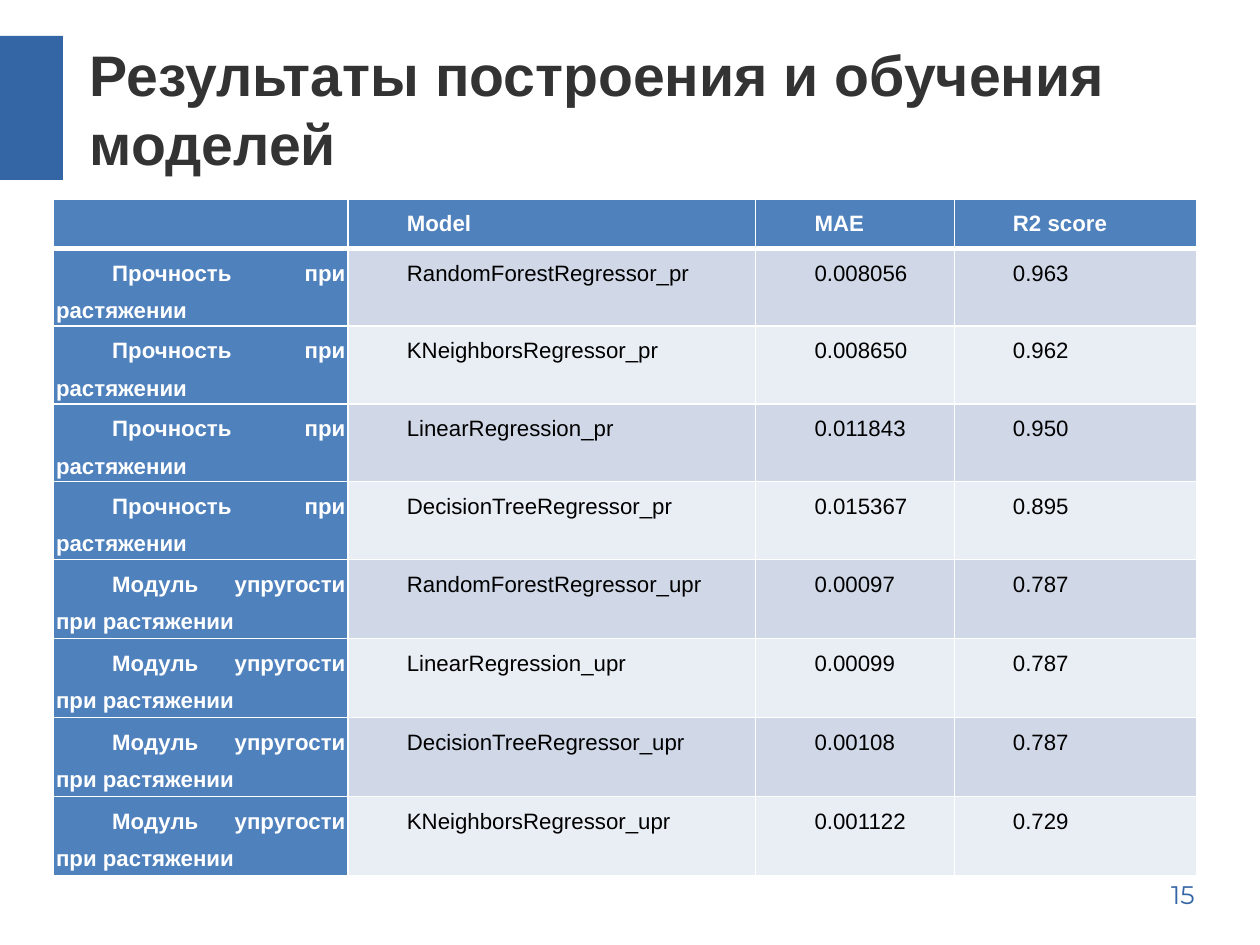
"""Build a slide with a table of regression model results."""
from lxml.etree import SubElement
from pptx import Presentation
from pptx.dml.color import RGBColor
from pptx.enum.shapes import MSO_SHAPE as Shape
from pptx.enum.text import MSO_ANCHOR as Anchor, MSO_AUTO_SIZE as AutoSize, PP_ALIGN as Align
from pptx.oxml.ns import qn
from pptx.util import Pt

TITLE = "Результаты построения и обучения моделей"
PAGE_NUMBER = "15"
HEADER = ("", "Model", "MAE", "R2 score")
RESULTS = {
    "Прочность при растяжении": [
        ("RandomForestRegressor_pr", "0.008056", "0.963"),
        ("KNeighborsRegressor_pr", "0.008650", "0.962"),
        ("LinearRegression_pr", "0.011843", "0.950"),
        ("DecisionTreeRegressor_pr", "0.015367", "0.895"),
    ],
    "Модуль упругости при растяжении": [
        ("RandomForestRegressor_upr", "0.00097", "0.787"),
        ("LinearRegression_upr", "0.00099", "0.787"),
        ("DecisionTreeRegressor_upr", "0.00108", "0.787"),
        ("KNeighborsRegressor_upr", "0.001122", "0.729"),
    ],
}
COLORS = {
    "accent": "3465A4", "title": "333333", "header": "4F81BD", "odd": "D0D8E8",
    "even": "E9EDF4", "white": "FFFFFF", "black": "000000",
}
PAGE_WIDTH, PAGE_HEIGHT = 793.7, 595.28
COLUMN_WIDTHS = (185.6, 256.8, 125, 152.6)
ROW_HEIGHTS = (31,) + (49,) * 4 + (49.8,) * 4
TABLE_LEFT, TABLE_TOP = 33.7, 125.5


def color(name):
    return RGBColor.from_string(COLORS[name])


def style(para, face, size, shade, bold, align):
    para.alignment = align
    font = para.font
    font.name, font.size, font.bold = face, Pt(size), bold
    font.color.rgb = color(shade)


def add_bar(page):
    bar = page.shapes.add_shape(Shape.RECTANGLE, 0, Pt(22.6), Pt(39.6), Pt(90.7))
    bar.shadow.inherit = False
    bar.fill.solid()
    bar.fill.fore_color.rgb = color("accent")
    bar.line.fill.background()


def add_title(page):
    title = page.shapes.title
    title.left, title.top, title.width, title.height = Pt(56.6), Pt(23.7), Pt(697), Pt(89)
    frame = title.text_frame
    frame.text = TITLE
    frame.auto_size, frame.word_wrap = AutoSize.NONE, True
    frame.vertical_anchor = Anchor.MIDDLE
    frame.margin_left = frame.margin_right = frame.margin_top = frame.margin_bottom = 0
    style(frame.paragraphs[0], "Arial", 36, "title", True, Align.LEFT)


def add_page_number(page):
    box = page.shapes.add_textbox(Pt(540.6), Pt(550), Pt(219), Pt(29.5))
    box.text_frame.word_wrap = True
    box.text_frame.text = PAGE_NUMBER
    style(box.text_frame.paragraphs[0], "Montserrat", 16, "accent", False, Align.RIGHT)


def add_borders(cell, widths):
    properties = cell._tc.get_or_add_tcPr()
    for side, width in widths.items():
        line = SubElement(properties, qn(f"a:ln{side}"), w=str(Pt(width)))
        fill = SubElement(line, qn("a:solidFill"))
        SubElement(fill, qn("a:srgbClr"), val=COLORS["white"])


def fill_cell(cell, text, row, column):
    is_heading = row == 0 or column == 0
    cell.margin_left = cell.margin_right = Pt(1.6)
    cell.margin_top = cell.margin_bottom = 0
    top, bottom = (3 if row == 1 else 1), (3 if row == 0 else 1)
    add_borders(cell, {"L": 1, "R": 1, "T": top, "B": bottom})
    cell.fill.solid()
    cell.fill.fore_color.rgb = color("header" if is_heading else "odd" if row % 2 else "even")
    cell.text = text
    para = cell.text_frame.paragraphs[0]
    para.line_spacing = 1.5
    para._p.get_or_add_pPr().set("indent", str(Pt(35.4)))
    style(para, "Arial", 14, "white" if is_heading else "black", is_heading, Align.JUSTIFY)


def add_results(page):
    rows = [HEADER] + [(target, *model) for target, models in RESULTS.items() for model in models]
    table = page.shapes.add_table(
        len(rows), len(HEADER), Pt(TABLE_LEFT), Pt(TABLE_TOP),
        Pt(sum(COLUMN_WIDTHS)), Pt(sum(ROW_HEIGHTS))).table
    for column, width in zip(table.columns, COLUMN_WIDTHS):
        column.width = Pt(width)
    for row, height in zip(table.rows, ROW_HEIGHTS):
        row.height = Pt(height)
    for row, texts in enumerate(rows):
        for column, text in enumerate(texts):
            fill_cell(table.cell(row, column), text, row, column)


def main():
    deck = Presentation()
    deck.slide_width, deck.slide_height = Pt(PAGE_WIDTH), Pt(PAGE_HEIGHT)
    page = deck.slides.add_slide(deck.slide_layouts[5])
    add_bar(page)
    add_title(page)
    add_results(page)
    add_page_number(page)
    deck.save("out.pptx")


if __name__ == "__main__":
    main()
